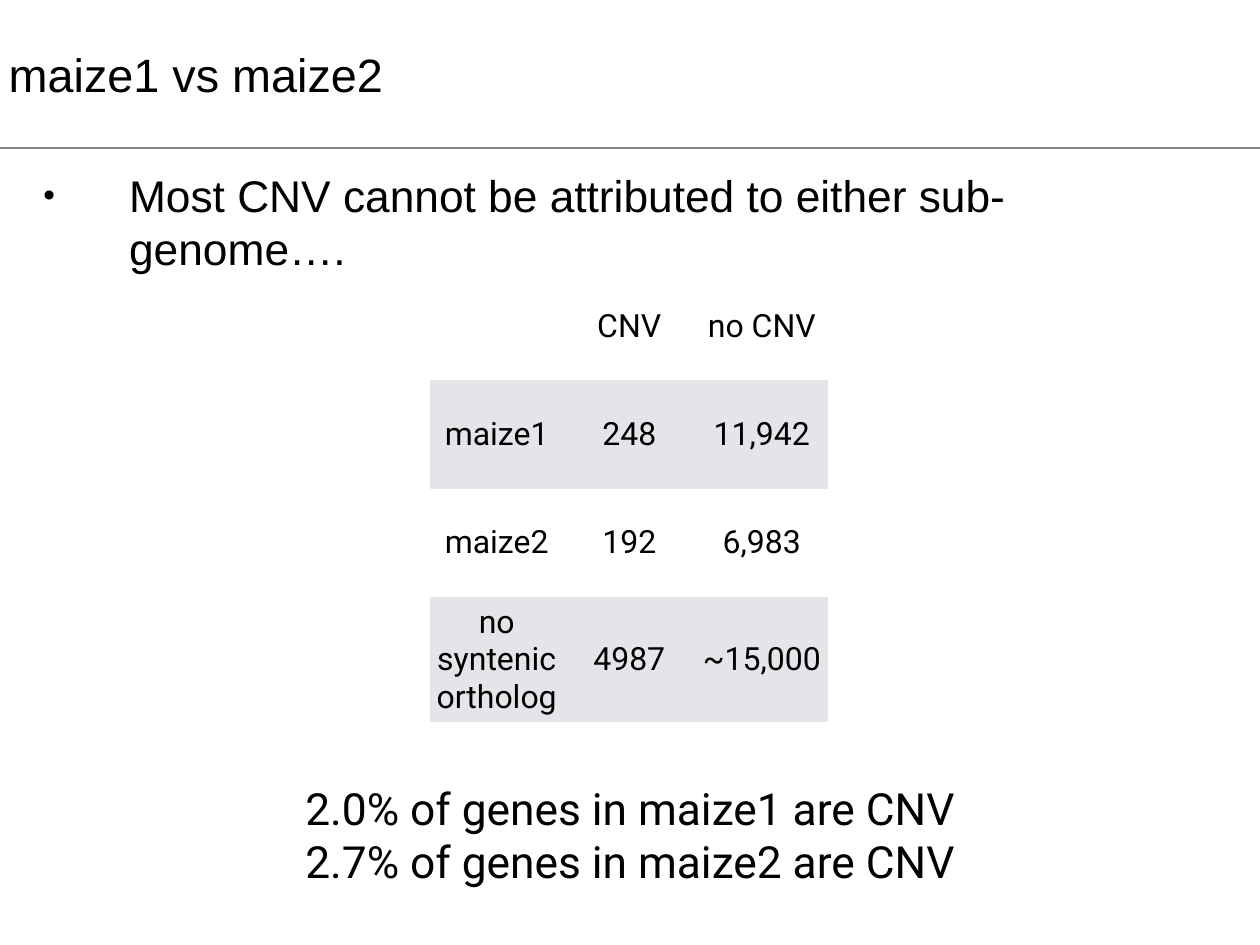
from dataclasses import dataclass

from lxml import etree
from pptx import Presentation
from pptx.dml.color import RGBColor
from pptx.enum.shapes import MSO_CONNECTOR
from pptx.enum.text import MSO_ANCHOR, MSO_AUTO_SIZE, PP_ALIGN
from pptx.oxml.ns import qn
from pptx.util import Cm, Pt

LEFT, CENTER = PP_ALIGN.LEFT, PP_ALIGN.CENTER
TOP, MIDDLE = MSO_ANCHOR.TOP, MSO_ANCHOR.MIDDLE
FIXED, GROW = MSO_AUTO_SIZE.NONE, MSO_AUTO_SIZE.SHAPE_TO_FIT_TEXT
STRAIGHT = MSO_CONNECTOR.STRAIGHT
PLAIN = "{2D5ABB26-0587-4C30-8999-92F81FD0307C}"


@dataclass(frozen=True)
class Theme:
    ink: str = "000000"
    rule: str = "848484"
    bands: tuple = ("FFFFFF", "E3E5E8")
    head: str = "Arial"
    data: str = "Roboto"
    title: int = 38
    body: int = 36
    cell: int = 26
    pad: float = 0.15


THEME = Theme()


def color(code):
    return RGBColor.from_string(code)


def write(frame, text, font=THEME.head, size=THEME.body, align=LEFT, before=0):
    for i, line in enumerate(text.split("\n")):
        para = frame.paragraphs[0] if i == 0 else frame.add_paragraph()
        para.alignment = align
        para.space_before = Pt(before)
        run = para.add_run()
        run.text = line
        run.font.name = font
        run.font.size = Pt(size)
        run.font.color.rgb = color(THEME.ink)


def inset(item, pad):
    item.margin_left = item.margin_right = Cm(pad)
    item.margin_top = item.margin_bottom = Cm(pad)


def place(shape, box, anchor):
    shape.left, shape.top, shape.width, shape.height = map(Cm, box)
    frame = shape.text_frame
    frame.auto_size = FIXED
    frame.word_wrap = True
    frame.vertical_anchor = anchor
    inset(frame, 0)
    return frame


def add_title(slide, box, text):
    frame = place(slide.shapes.title, box, MIDDLE)
    write(frame, text, size=THEME.title)


def add_rule(slide, left, right, y):
    line = slide.shapes.add_connector(STRAIGHT, Cm(left), Cm(y), Cm(right), Cm(y))
    line.line.color.rgb = color(THEME.rule)
    line.line.width = Pt(2)
    etree.SubElement(line.element.spPr, qn("a:effectLst"))


def add_list(slide, box, text, indent):
    frame = place(slide.placeholders[1], box, TOP)
    write(frame, text, before=42)
    for para in frame.paragraphs:
        props = para._p.get_or_add_pPr()
        props.set("marL", str(Cm(indent)))
        props.set("indent", str(-Cm(indent)))
        etree.SubElement(props, qn("a:buSzPct"), val="75000")
        etree.SubElement(props, qn("a:buChar"), char="•")


def add_grid(slide, box, rows, tall):
    left, top, width, height = map(Cm, box)
    shape = slide.shapes.add_table(len(rows), len(rows[0]), left, top, width, height)
    grid = shape.table
    grid.first_row = grid.horz_banding = False
    shape.element.find(".//" + qn("a:tableStyleId")).text = PLAIN
    for row in grid.rows:
        row.height = (height - Cm(tall)) // (len(rows) - 1)
    grid.rows[len(rows) - 1].height = Cm(tall)
    for r, row in enumerate(rows):
        for c, text in enumerate(row):
            cell = grid.cell(r, c)
            cell.fill.solid()
            cell.fill.fore_color.rgb = color(THEME.bands[r % 2])
            cell.vertical_anchor = MIDDLE
            inset(cell, THEME.pad)
            if text:
                write(cell.text_frame, text, font=THEME.data, size=THEME.cell, align=CENTER)


def add_note(slide, box, text):
    frame = place(slide.shapes.add_textbox(*map(Cm, box)), box, MIDDLE)
    inset(frame, THEME.pad)
    frame.word_wrap = False
    frame.auto_size = GROW
    write(frame, text, font=THEME.data, align=CENTER)


def main():
    deck = Presentation()
    deck.slide_width, deck.slide_height = Cm(36.12), Cm(27.1)
    slide = deck.slides.add_slide(deck.slide_layouts[1])
    add_list(slide, (1.24, 4.83, 30.84, 17.48),
             "Most CNV cannot be attributed to either sub-genome….", indent=2.46)
    add_note(slide, (8.26, 22.25, 19.61, 3.33),
             "2.0% of genes in maize1 are CNV\n2.7% of genes in maize2 are CNV")
    add_title(slide, (0.25, -0.89, 30.84, 5.99), "maize1 vs maize2")
    add_rule(slide, -1.24, 37.36, 4.24)
    rows = [
        ("", "CNV", "no CNV"),
        ("maize1", "248", "11,942"),
        ("maize2", "192", "6,983"),
        ("no syntenic ortholog", "4987", "~15,000"),
    ]
    add_grid(slide, (12.34, 7.8, 11.4, 12.9), rows, tall=3.58)
    deck.save("out.pptx")


if __name__ == "__main__":
    main()
